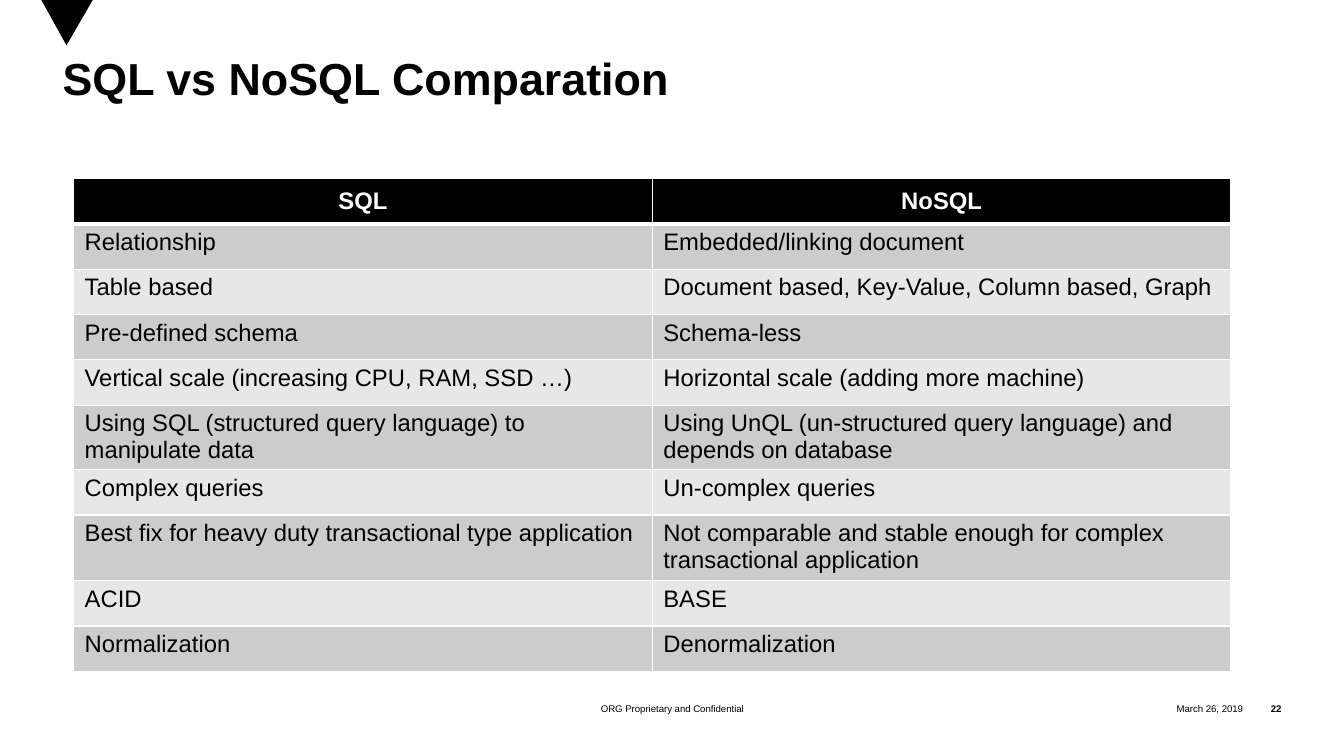
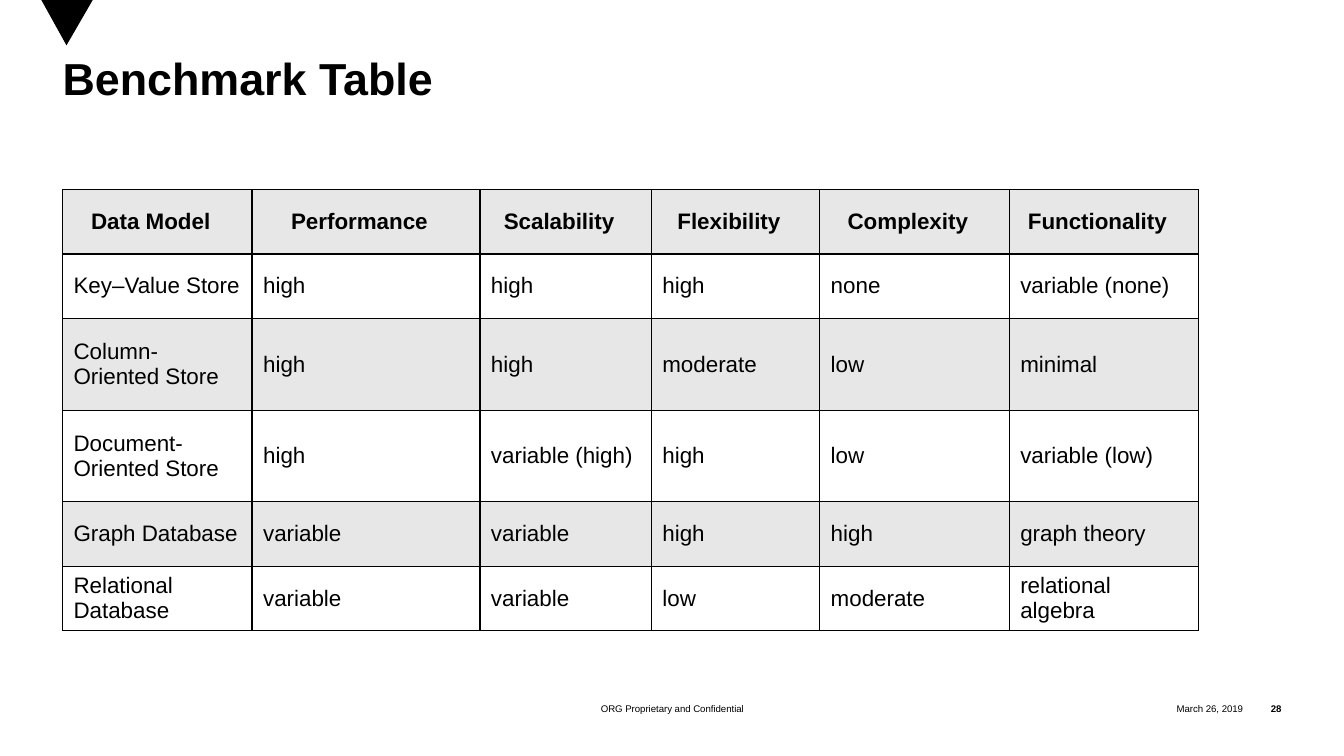
import lxml.etree
import pptx
import pptx.dml.color
import pptx.enum.text
import pptx.oxml.ns
import pptx.util

PX = 9144
FONT = "Arial"
COLORS = {
    "black": "000000",
    "white": "FFFFFF",
    "grey": "CCCCCC",
    "pale": "E7E7E7",
}
ALIGN = pptx.enum.text.PP_ALIGN
ANCHOR = pptx.enum.text.MSO_ANCHOR

SLIDE_SIZE = (1333, 750)
MARKER_BOX = (41, 0, 51, 45)
TITLE_BOX = (62, 58, 1208, 129)
FOOTER_BOX = (438, 691, 458, 25)
DATE_BOX = (1084, 691, 149, 25)
NUMBER_BOX = (1233, 691, 38, 25)

COMPARISON = {
    "title": "SQL vs NoSQL Comparation",
    "number": "22",
    "left": 73,
    "top": 177,
    "columns": [574, 574],
    "heights": [45, 45, 45, 45, 45, 64, 45, 65, 45, 45],
    "size": 17,
    "header": ("black", "white"),
    "header_right": 11,
    "header_rule": 3,
    "bands": ("grey", "pale"),
    "border": "white",
    "anchor": ANCHOR.TOP,
    "rows": [
        ["SQL", "NoSQL"],
        ["Relationship", "Embedded/linking document"],
        ["Table based", "Document based, Key-Value, Column based, Graph"],
        ["Pre-defined schema", "Schema-less"],
        ["Vertical scale (increasing CPU, RAM, SSD …)",
         "Horizontal scale (adding more machine)"],
        ["Using SQL (structured query language) to manipulate data",
         "Using UnQL (un-structured query language) and depends on database"],
        ["Complex queries", "Un-complex queries"],
        ["Best fix for heavy duty transactional type application",
         "Not comparable and stable enough for complex transactional application"],
        ["ACID", "BASE"],
        ["Normalization", "Denormalization"],
    ],
}

BENCHMARK = {
    "title": "Benchmark Table",
    "number": "28",
    "left": 62,
    "top": 188,
    "columns": [188, 226, 170, 167, 188, 188],
    "heights": [64, 64, 91, 91, 64, 64],
    "size": 16,
    "header": ("pale", "black"),
    "header_right": 24,
    "header_rule": 1,
    "bands": ("white", "pale"),
    "border": "black",
    "anchor": ANCHOR.MIDDLE,
    "rows": [
        ["Data Model", "Performance", "Scalability", "Flexibility", "Complexity", "Functionality"],
        ["Key–Value Store", "high", "high", "high", "none", "variable (none)"],
        ["Column-Oriented Store", "high", "high", "moderate", "low", "minimal"],
        ["Document-Oriented Store", "high", "variable (high)", "high", "low", "variable (low)"],
        ["Graph Database", "variable", "variable", "high", "high", "graph theory"],
        ["Relational Database", "variable", "variable", "low", "moderate", "relational algebra"],
    ],
}


def px(*lengths):
    """Turn px lengths into EMU."""
    return [pptx.util.Emu(length * PX) for length in lengths]


def rgb(name):
    """Look up a named colour."""
    return pptx.dml.color.RGBColor.from_string(COLORS[name])


def set_attributes(target, values):
    """Set each named value on the target."""
    for name, value in values.items():
        setattr(target, name, value)


def write_text(frame, text, size, bold=False, color="black", **paragraph_format):
    """Write one formatted paragraph into a text frame."""
    paragraph = frame.paragraphs[0]
    set_attributes(paragraph, paragraph_format)
    run = paragraph.add_run()
    run.text = text
    set_attributes(run.font, {"name": FONT, "size": pptx.util.Pt(size), "bold": bold})
    run.font.color.rgb = rgb(color)


def set_frame(frame, anchor):
    """Give a text frame no margins and a fixed size."""
    set_attributes(frame, {
        "margin_left": 0, "margin_top": 0, "margin_right": 0, "margin_bottom": 0,
        "word_wrap": True, "vertical_anchor": anchor,
        "auto_size": pptx.enum.text.MSO_AUTO_SIZE.NONE,
    })


def add_label(slide, box, text, alignment, bold=False):
    """Add one small footer label."""
    frame = slide.shapes.add_textbox(*px(*box)).text_frame
    set_frame(frame, ANCHOR.MIDDLE)
    write_text(frame, text, 6.9, bold, alignment=alignment)


def add_marker(slide, box):
    """Add the triangle that points down from the top edge."""
    left, top, width, height = box
    builder = slide.shapes.build_freeform(left, top, scale=PX)
    builder.add_line_segments([(left + width / 2, top + height), (left + width, top)])
    marker = builder.convert_to_shape()
    marker.shadow.inherit = False
    marker.fill.solid()
    marker.fill.fore_color.rgb = rgb("black")
    marker.line.fill.background()


def add_title(slide, box, text):
    """Place and fill the title placeholder."""
    title = slide.shapes.title
    set_attributes(title, dict(zip(("left", "top", "width", "height"), px(*box))))
    set_frame(title.text_frame, ANCHOR.TOP)
    write_text(title.text_frame, text, 32, True, alignment=ALIGN.LEFT, line_spacing=0.85)


def set_borders(cell, color, widths):
    """Draw the four cell borders with the given widths in points."""
    properties = cell._tc.get_or_add_tcPr()
    for index, (side, width) in enumerate(widths.items()):
        line = lxml.etree.Element(pptx.oxml.ns.qn(f"a:ln{side}"), w=str(pptx.util.Pt(width)))
        fill = lxml.etree.SubElement(line, pptx.oxml.ns.qn("a:solidFill"))
        lxml.etree.SubElement(fill, pptx.oxml.ns.qn("a:srgbClr"), val=COLORS[color])
        properties.insert(index, line)


def format_cell(cell, text, row_index, design):
    """Fill one cell by its row and the table design."""
    is_header = row_index == 0
    fill, color = design["header"] if is_header else (design["bands"][(row_index - 1) % 2], "black")
    right = design["header_right"] if is_header else 11
    margins = px(11, 5, right, 5)
    set_attributes(cell, dict(zip(
        ("margin_left", "margin_top", "margin_right", "margin_bottom"), margins)))
    cell.vertical_anchor = ANCHOR.MIDDLE if is_header else design["anchor"]
    cell.fill.solid()
    cell.fill.fore_color.rgb = rgb(fill)
    rule = design["header_rule"]
    set_borders(cell, design["border"], {
        "L": 1, "R": 1, "T": rule if row_index == 1 else 1, "B": rule if is_header else 1,
    })
    write_text(cell.text_frame, text, design["size"], is_header, color,
               alignment=ALIGN.CENTER if is_header else ALIGN.LEFT)


def add_data_table(slide, design):
    """Add the table with its sizes, bands and borders."""
    columns, heights = design["columns"], design["heights"]
    box = px(design["left"], design["top"], sum(columns), sum(heights))
    table = slide.shapes.add_table(len(heights), len(columns), *box).table
    set_attributes(table, {"first_row": False, "horz_banding": False})
    for column, width in zip(table.columns, px(*columns)):
        column.width = width
    for row, height in zip(table.rows, px(*heights)):
        row.height = height
    for row_index, texts in enumerate(design["rows"]):
        for column_index, text in enumerate(texts):
            format_cell(table.cell(row_index, column_index), text, row_index, design)


def add_table_slide(presentation, design):
    """Add a slide with marker, footer, title and table."""
    slide = presentation.slides.add_slide(presentation.slide_layouts[5])
    add_marker(slide, MARKER_BOX)
    add_label(slide, DATE_BOX, "March 26, 2019", ALIGN.RIGHT)
    add_label(slide, NUMBER_BOX, design["number"], ALIGN.RIGHT, bold=True)
    add_label(slide, FOOTER_BOX, "ORG Proprietary and Confidential", ALIGN.CENTER)
    add_title(slide, TITLE_BOX, design["title"])
    add_data_table(slide, design)


def main():
    """Build and save the presentation."""
    presentation = pptx.Presentation()
    presentation.slide_width, presentation.slide_height = px(*SLIDE_SIZE)
    for design in (COMPARISON, BENCHMARK):
        add_table_slide(presentation, design)
    presentation.save("out.pptx")


if __name__ == "__main__":
    main()
